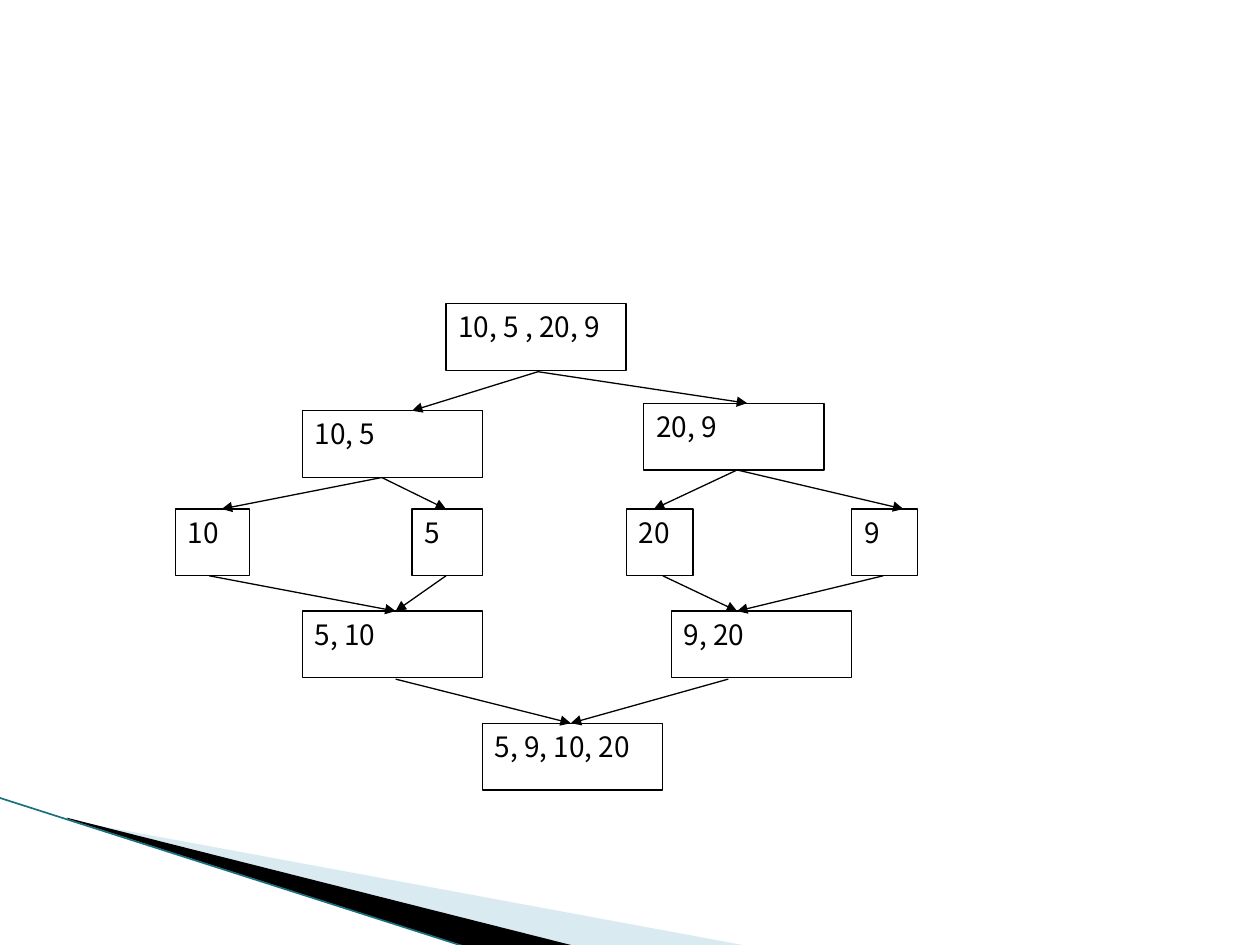
from lxml.etree import SubElement
from pptx import Presentation
from pptx.dml.color import RGBColor
from pptx.enum.shapes import MSO_CONNECTOR as Link, MSO_SHAPE as Shape
from pptx.enum.text import MSO_ANCHOR as Anchor, PP_ALIGN as Align
from pptx.oxml.ns import qn
from pptx.util import Inches, Pt


def color(code):
    return RGBColor.from_string(code)


class Deck:
    font = "Noto Sans CJK KR"
    size = Pt(16)
    ink = "000000"
    paper = "FFFFFF"
    thin = 0.75

    def __init__(self, slide):
        self.slide = slide

    def wedge(self, points, code, alpha=100):
        start, *rest = [(Inches(x), Inches(y)) for x, y in points]
        pen = self.slide.shapes.build_freeform(*start)
        pen.add_line_segments(rest, close=True)
        shape = pen.convert_to_shape()
        shape.shadow.inherit = False
        shape.fill.solid()
        shape.fill.fore_color.rgb = color(code)
        shape.line.fill.background()
        if alpha < 100:
            tint = shape.fill._xPr.find(qn("a:solidFill"))[0]
            SubElement(tint, qn("a:alpha"), val=str(alpha * 1000))

    def box(self, text, left, top, width, height):
        shape = self.slide.shapes.add_shape(
            Shape.RECTANGLE, Inches(left), Inches(top), Inches(width), Inches(height))
        shape.shadow.inherit = False
        shape.fill.solid()
        shape.fill.fore_color.rgb = color(self.paper)
        shape.line.color.rgb = color(self.ink)
        shape.line.width = Pt(self.thin)
        frame = shape.text_frame
        frame.word_wrap = True
        frame.vertical_anchor = Anchor.TOP
        frame.text = text
        para = frame.paragraphs[0]
        para.alignment = Align.JUSTIFY
        font = para.runs[0].font
        font.name = self.font
        font.size = self.size
        font.color.rgb = color(self.ink)

    def line(self, start, end, code=ink, width=thin, arrow=False):
        ends = [Inches(n) for n in (*start, *end)]
        link = self.slide.shapes.add_connector(Link.STRAIGHT, *ends)
        link.line.color.rgb = color(code)
        link.line.width = Pt(width)
        if arrow:
            SubElement(link.line._get_or_add_ln(), qn("a:tailEnd"), type="triangle")
        SubElement(link._element.spPr, qn("a:effectLst"))


WIDE, HIGH = 1.43, 0.53
SPLIT, RIGHT, LEAF, MERGE, LAST = 3.26, 3.2, 4.04, 4.85, 5.74

BOXES = [
    ("10, 5 , 20, 9", 3.54, 2.41, WIDE),
    ("10, 5", 2.4, SPLIT, WIDE),
    ("20, 9", 5.11, RIGHT, WIDE),
    ("10", 1.39, LEAF, 0.59),
    ("5", 3.27, LEAF, 0.56),
    ("20", 4.97, LEAF, 0.53),
    ("9", 6.76, LEAF, 0.52),
    ("5, 10", 2.4, MERGE, WIDE),
    ("9, 20", 5.33, MERGE, WIDE),
    ("5, 9, 10, 20", 3.83, LAST, WIDE),
]

ARROWS = [
    (4.27, 2.95, 3.27, SPLIT),
    (4.27, 2.95, 5.93, RIGHT),
    (3.03, 3.79, 1.76, LEAF),
    (3.03, 3.79, 3.54, LEAF),
    (5.85, 3.73, 5.19, LEAF),
    (5.85, 3.73, 7.17, LEAF),
    (1.66, 4.57, 3.14, MERGE),
    (3.54, 4.57, 3.14, MERGE),
    (5.26, 4.57, 5.85, MERGE),
    (7.01, 4.57, 5.85, MERGE),
    (3.14, 5.39, 4.53, LAST),
    (5.78, 5.39, 4.53, LAST),
]


def main():
    prs = Presentation()
    prs.slide_width, prs.slide_height = Inches(10), Inches(7.5)
    deck = Deck(prs.slides.add_slide(prs.slide_layouts[6]))
    deck.wedge([(0.55, 6.51), (5.95, 7.51), (4.56, 7.51), (0.55, 6.5)], "A0CBDC", 40)
    deck.wedge([(0.53, 6.49), (4.57, 7.51), (3.72, 7.52), (0.54, 6.5)], "000000")
    deck.line((-0.01, 6.33), (3.71, 7.52), "1A7080", 0.95)
    for text, left, top, width in BOXES:
        deck.box(text, left, top, width, HIGH)
    for x, y, right, low in ARROWS:
        deck.line((x, y), (right, low), arrow=True)
    prs.save("out.pptx")


if __name__ == "__main__":
    main()
